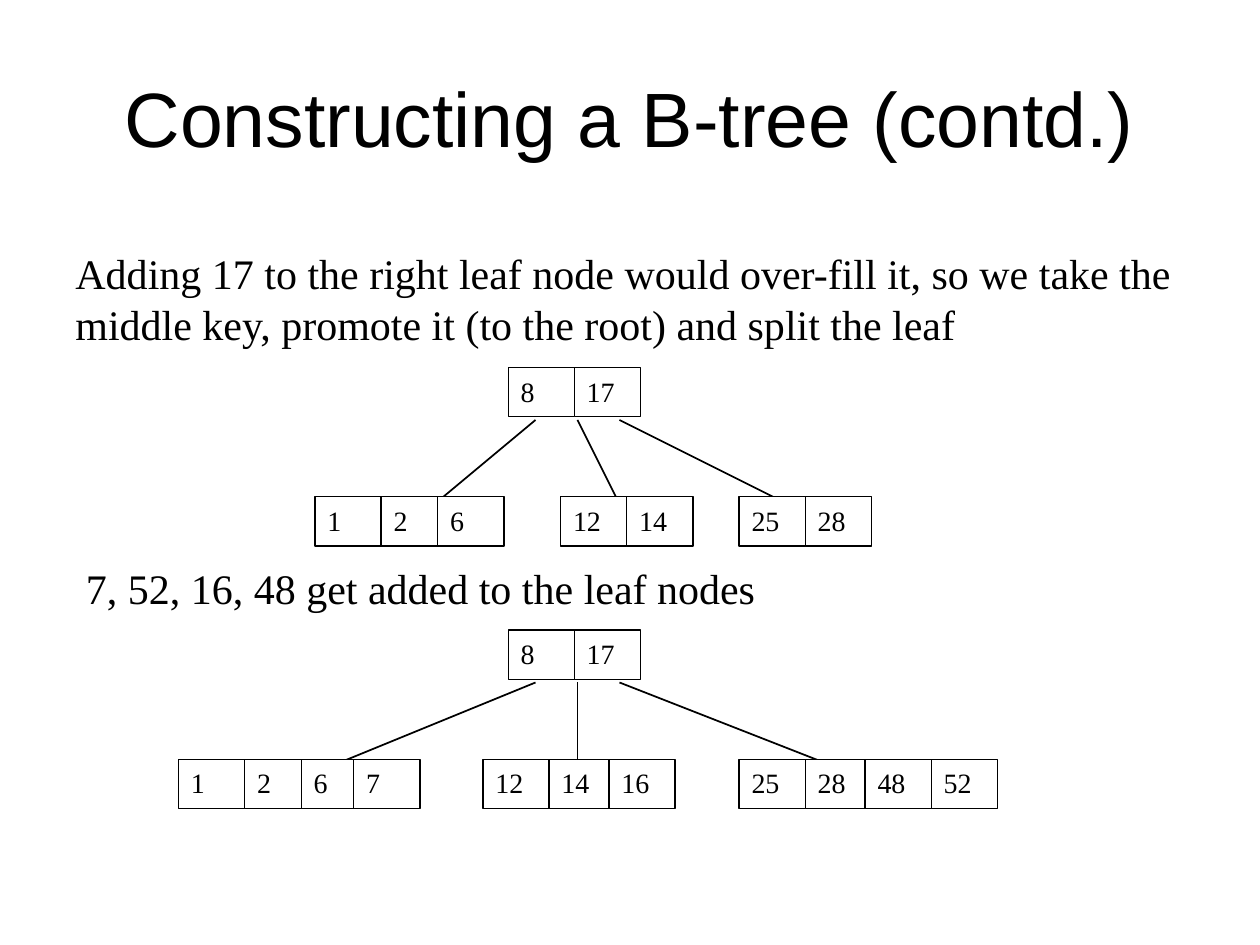
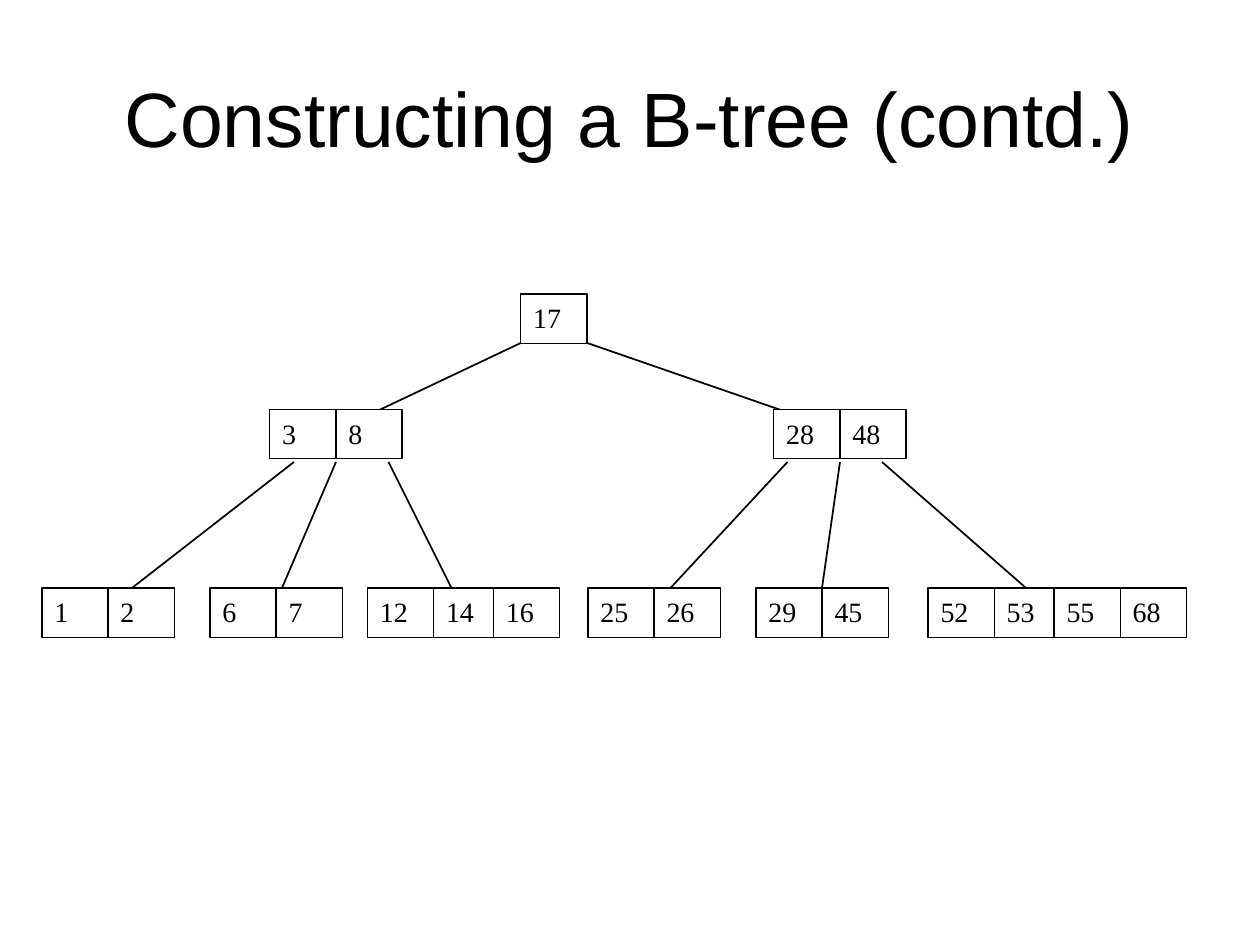
from dataclasses import dataclass

import pptx
import pptx.dml.color
import pptx.enum.shapes
import pptx.enum.text
import pptx.oxml.ns
import pptx.slide
import pptx.text.text
import pptx.util
from lxml import etree

# Grid: 120 columns by 90 rows on a 10 x 7.5 inch slide
WIDTH, HEIGHT = pptx.util.Inches(10), pptx.util.Inches(7.5)
COLUMNS, ROWS = 120, 90

INK, PAPER = "000000", "FFFFFF"
TITLE = "Constructing a B-tree (contd.)"
SANS, SERIF = "Arial", "Times New Roman"
LINE_HEIGHT = 1.21
KEY_WIDTH, KEY_HEIGHT = 6.3, 4.7
MARGINS = {"margin_left": pptx.util.Inches(0.1), "margin_right": pptx.util.Inches(0.1),
           "margin_top": pptx.util.Inches(0.05), "margin_bottom": pptx.util.Inches(0.05),
           "word_wrap": True, "vertical_anchor": pptx.enum.text.MSO_ANCHOR.TOP}

# Distances between the left edges of neighbouring keys
EVEN = (6.3, 6.3, 6.3)
TIGHT = (6.3, 5.4, 5)
MIXED = (6.3, 5.7, 6.3)


@dataclass(frozen=True)
class Node:
    column: float
    row: float
    keys: tuple[int, ...]
    steps: tuple[float, ...] = EVEN


@dataclass(frozen=True)
class Branch:
    """Line from a parent (column, row) to a child (column, row)."""
    parent: tuple[float, float]
    child: tuple[float, float]


@dataclass(frozen=True)
class Note:
    column: float
    row: float
    width: float
    height: float
    text: str


@dataclass(frozen=True)
class Step:
    notes: tuple[Note, ...]
    branches: tuple[Branch, ...]
    nodes: tuple[Node, ...]


def x(columns: float) -> int:
    return round(WIDTH * columns / COLUMNS)


def y(rows: float) -> int:
    return round(HEIGHT * rows / ROWS)


def color(value: str) -> pptx.dml.color.RGBColor:
    return pptx.dml.color.RGBColor.from_string(value)


def apply(target: object, values: dict[str, object]) -> None:
    for name, value in values.items():
        setattr(target, name, value)


def write(frame: pptx.text.text.TextFrame, text: str, size: float, font: str,
          **paragraph_format: object) -> None:
    frame.text = text
    paragraph = frame.paragraphs[0]
    apply(paragraph, paragraph_format)
    apply(paragraph.font, {"name": font, "size": pptx.util.Pt(size)})
    paragraph.font.color.rgb = color(INK)


def write_serif(frame: pptx.text.text.TextFrame, text: str, size: float) -> None:
    apply(frame, MARGINS)
    write(frame, text, size, SERIF, alignment=pptx.enum.text.PP_ALIGN.LEFT,
          line_spacing=pptx.util.Pt(round(size * LINE_HEIGHT, 1)))


def draw_title(slide: pptx.slide.Slide) -> None:
    title = slide.shapes.title
    apply(title, {"left": x(6), "top": y(3.6), "width": x(108), "height": y(15)})
    title.text_frame.vertical_anchor = pptx.enum.text.MSO_ANCHOR.MIDDLE
    write(title.text_frame, TITLE, 44, SANS, alignment=pptx.enum.text.PP_ALIGN.CENTER)


def draw_note(slide: pptx.slide.Slide, note: Note) -> None:
    box = slide.shapes.add_textbox(x(note.column), y(note.row), x(note.width), y(note.height))
    write_serif(box.text_frame, note.text, 24)
    box.text_frame.auto_size = pptx.enum.text.MSO_AUTO_SIZE.SHAPE_TO_FIT_TEXT


def draw_branch(slide: pptx.slide.Slide, branch: Branch) -> None:
    (start_column, start_row), (end_column, end_row) = branch.parent, branch.child
    line = slide.shapes.add_connector(pptx.enum.shapes.MSO_CONNECTOR.STRAIGHT,
                                      x(start_column), y(start_row), x(end_column), y(end_row))
    line.line.color.rgb = color(INK)
    line.line.width = pptx.util.Pt(1)
    etree.SubElement(line._element.spPr, pptx.oxml.ns.qn("a:effectLst"))


def draw_node(slide: pptx.slide.Slide, node: Node) -> None:
    for index, key in enumerate(node.keys):
        column = node.column + sum(node.steps[:index])
        cell = slide.shapes.add_shape(pptx.enum.shapes.MSO_SHAPE.RECTANGLE, x(column),
                                      y(node.row), x(KEY_WIDTH), y(KEY_HEIGHT))
        cell.shadow.inherit = False
        cell.fill.solid()
        cell.fill.fore_color.rgb = color(PAPER)
        cell.line.color.rgb = color(INK)
        cell.line.width = pptx.util.Pt(0.75)
        write_serif(cell.text_frame, str(key), 16)


def draw_step(deck: pptx.presentation.Presentation, step: Step) -> None:
    slide = deck.slides.add_slide(deck.slide_layouts.get_by_name("Title Only"))
    draw_title(slide)
    for note in step.notes:
        draw_note(slide, note)
    # Branches go behind the nodes
    for branch in step.branches:
        draw_branch(slide, branch)
    for node in step.nodes:
        draw_node(slide, node)


SPLIT_LEAF = Step(
    notes=(
        Note(6, 23, 110, 10.8, "Adding 17 to the right leaf node would over-fill it, so we take "
                               "the middle key, promote it (to the root) and split the leaf"),
        Note(7, 53, 108, 6, "7, 52, 16, 48 get added to the leaf nodes"),
    ),
    branches=(
        # Tree after the split
        Branch((51, 40), (39, 50)),
        Branch((55, 40), (60, 50)),
        Branch((59, 40), (77, 49)),
        # Tree after the additions
        Branch((51, 65), (29, 74)),
        Branch((55, 65), (55, 75)),
        Branch((59, 65), (82, 74)),
    ),
    nodes=(
        Node(48.4, 35, (8, 17)),
        Node(30, 47.3, (1, 2, 6), TIGHT),
        Node(53.4, 47.3, (12, 14)),
        Node(70.4, 47.3, (25, 28)),
        Node(48.4, 60, (8, 17)),
        Node(17, 72.3, (1, 2, 6, 7), TIGHT),
        Node(46, 72.3, (12, 14, 16), MIXED),
        Node(70.4, 72.3, (25, 28, 48, 52), MIXED),
    ),
)

FINAL_TREE = Step(
    notes=(),
    branches=(
        # Inner nodes to leaves
        Branch((28, 44), (10, 58)),
        Branch((32, 44), (26, 58)),
        Branch((37, 44), (44, 58)),
        Branch((75, 44), (62, 58)),
        Branch((80, 44), (78, 58)),
        Branch((84, 44), (100, 58)),
        # Root to inner nodes
        Branch((51, 32), (32, 41)),
        Branch((54, 32), (80, 41)),
    ),
    nodes=(
        Node(49.6, 28, (17,)),
        Node(25.7, 39, (3, 8)),
        Node(73.7, 39, (28, 48)),
        Node(4, 56, (1, 2)),
        Node(20, 56, (6, 7)),
        Node(35, 56, (12, 14, 16), MIXED),
        Node(56, 56, (25, 26)),
        Node(72, 56, (29, 45)),
        Node(88.4, 56, (52, 53, 55, 68), MIXED),
    ),
)


def main() -> None:
    deck = pptx.Presentation()
    apply(deck, {"slide_width": WIDTH, "slide_height": HEIGHT})
    for step in (SPLIT_LEAF, FINAL_TREE):
        draw_step(deck, step)
    deck.save("out.pptx")


if __name__ == "__main__":
    main()
